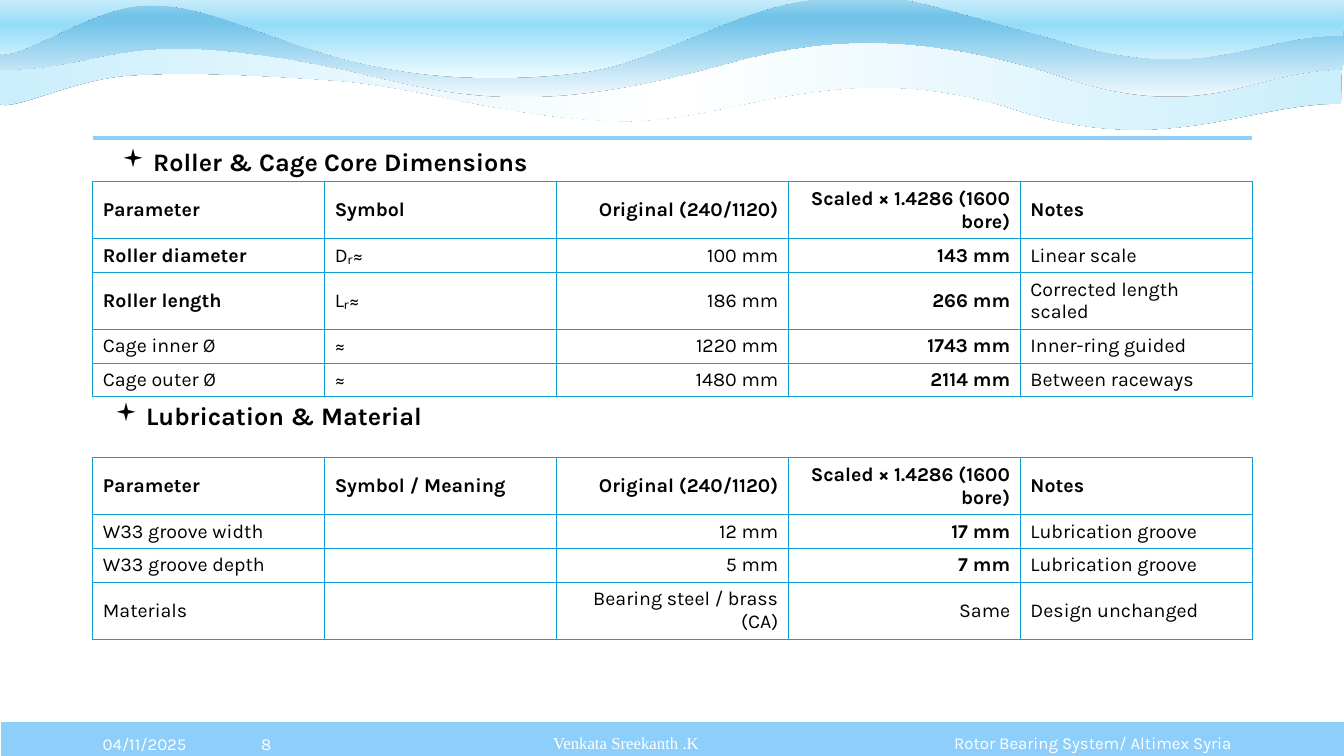
from dataclasses import dataclass

from lxml.etree import SubElement
from pptx import Presentation
from pptx.dml.color import RGBColor
from pptx.enum.shapes import MSO_CONNECTOR, MSO_SHAPE
from pptx.enum.text import MSO_ANCHOR, PP_ALIGN
from pptx.oxml.ns import qn
from pptx.util import Inches, Pt

SKY, BORDER, BLACK, WHITE = "8ECEFA", "0F9ED5", "000000", "FFFFFF"
LEFT, COLUMN_WIDTH = 0.92, 2.3
SINGLE, DOUBLE = 0.32, 0.55


@dataclass
class Wave:
    box: tuple[float, float, float, float]
    start: tuple[float, float]
    curves: list[tuple[float, ...]]
    corners: list[tuple[float, float]]
    stops: list[tuple[int, str]]
    angle: int


@dataclass
class Label:
    text: str
    left: float
    top: float
    width: float
    height: float = 0.4
    align: PP_ALIGN = PP_ALIGN.CENTER
    font: str = "Karla"
    spacing: float = 0.9


@dataclass
class Section:
    title: str
    title_left: float
    title_top: float
    table_top: float
    heights: list[float]
    rows: list[list[str]]


WAVES = [
    Wave((-0.04, 0.3, 13.36, 0.98), (13.3, 1.03),
         [(12.37, 1.02, 11.52, 1.59, 9.99, 1.06), (8.27, 0.54, 7.21, 1.24, 6.1, 1.2),
          (4.99, 1.16, 4.21, 0.87, 3.35, 0.8), (2.49, 0.74, 1.83, 0.71, 1.27, 0.75),
          (0.71, 0.79, 0.14, 1.11, -0.02, 1.03), (-0.02, 0.8, -0.04, 0.53, -0.04, 0.3)],
         [(3.13, 0.31), (6.52, 0.34), (9.41, 0.32), (13.32, 0.34)],
         [(0, "CAEEFB"), (50, WHITE), (100, "CAEEFB")], 0),
    Wave((0, -0.02, 13.33, 0.98), (13.32, 0.69),
         [(12.39, 0.69, 11.96, 1.27, 10.44, 0.73), (8.71, 0.19, 7.73, 0.49, 7.06, 0.67),
          (5.28, 1.14, 4.59, 0.97, 3.46, 0.7), (1.13, 0.21, 1.15, 0.69, 0, 0.69),
          (0, 0.46, 0.01, 0.23, 0.01, -0.01)],
         [(3.13, 0), (6.54, -0.02), (9.46, -0.01), (13.33, 0.03)],
         [(0, "F0F8FD"), (74, "74C4E9"), (83, "74C4E9"), (100, "A2D8F0")], 90),
    Wave((-0.03, -0.28, 13.36, 1.06), (13.32, 0.35),
         [(12.39, 0.35, 11.96, 0.86, 10.44, 0.38), (8.72, -0.09, 8.91, -0.07, 8.13, -0.01),
          (7.35, 0.04, 6.53, 0.62, 5.76, 0.72), (4.98, 0.82, 4.24, 0.79, 3.47, 0.6),
          (2.58, 0.36, 2.07, 0.05, 1.5, 0.05), (0.92, 0.04, 0.22, 0.61, -0.03, 0.53),
          (-0.02, 0.32, 0.01, -0.06, 0.01, -0.27)],
         [(3.13, -0.26), (6.54, -0.28), (9.46, -0.27), (13.33, -0.24)],
         [(0, "EFFCFF"), (50, "96DCF8"), (100, WHITE)], 90),
]

LABELS = [
    Label("Venkata Sreekanth .K", 3.15, 7.18, 6.12, font="Times New Roman"),
    Label("Rotor Bearing System/ Altimex Syria", 9.3, 7.24, 3.08, 0.28),
    Label("04/11/2025", LEFT, 7.18, 1.22, align=PP_ALIGN.LEFT, spacing=1.0),
    Label("8", 2.13, 7.18, 1.02, spacing=1.0),
]

SECTIONS = [
    Section("Roller & Cage Core Dimensions", 1.11, 1.4, 1.8,
            [DOUBLE, SINGLE, DOUBLE, SINGLE, SINGLE], [
                ["Parameter", "Symbol", "Original (240/1120)", "Scaled × 1.4286 (1600 bore)", "Notes"],
                ["Roller diameter", "Dᵣ≈", "100 mm", "143 mm", "Linear scale"],
                ["Roller length", "Lᵣ≈", "186 mm", "266 mm", "Corrected length scaled"],
                ["Cage inner Ø", "≈", "1220 mm", "1743 mm", "Inner-ring guided"],
                ["Cage outer Ø", "≈", "1480 mm", "2114 mm", "Between raceways"]]),
    Section("Lubrication & Material", 1.04, 3.92, 4.54,
            [DOUBLE, SINGLE, SINGLE, DOUBLE], [
                ["Parameter", "Symbol / Meaning", "Original (240/1120)", "Scaled × 1.4286 (1600 bore)", "Notes"],
                ["W33 groove width", "", "12 mm", "17 mm", "Lubrication groove"],
                ["W33 groove depth", "", "5 mm", "7 mm", "Lubrication groove"],
                ["Materials", "", "Bearing steel / brass (CA)", "Same", "Design unchanged"]]),
]


def rgb(color: str) -> RGBColor:
    return RGBColor.from_string(color)


def set_font(p, name: str, size: int, color: str, bold: bool = False) -> None:
    p.font.name = name
    p.font.size = Pt(size)
    p.font.bold = bold
    p.font.color.rgb = rgb(color)


def trace_outline(sp, wave: Wave) -> None:
    left, top, width, height = wave.box
    sp.left, sp.top, sp.width, sp.height = (Inches(v) for v in wave.box)
    outline = next(sp._element.iter(qn("a:path")))
    outline.clear()
    outline.set("w", str(Inches(width)))
    outline.set("h", str(Inches(height)))
    segments = [("a:moveTo", wave.start)]
    segments += [("a:cubicBezTo", curve) for curve in wave.curves]
    segments += [("a:lnTo", corner) for corner in wave.corners]
    segments.append(("a:cubicBezTo", wave.corners[-1] + wave.start * 2))
    for tag, values in segments:
        segment = SubElement(outline, qn(tag))
        for x, y in zip(values[::2], values[1::2]):
            SubElement(segment, qn("a:pt"), x=str(Inches(x - left)), y=str(Inches(y - top)))
    SubElement(outline, qn("a:close"))


def draw_wave(s, wave: Wave) -> None:
    builder = s.shapes.build_freeform(*(Inches(v) for v in wave.start))
    builder.add_line_segments([(Inches(x), Inches(y)) for x, y in wave.corners])
    sp = builder.convert_to_shape()
    trace_outline(sp, wave)
    sp.line.fill.background()
    sp.fill.gradient()
    sp.fill.gradient_angle = wave.angle
    stops = sp._element.spPr.find(qn("a:gradFill")).find(qn("a:gsLst"))
    stops.clear()
    for position, color in wave.stops:
        stop = SubElement(stops, qn("a:gs"), pos=str(position * 1000))
        SubElement(stop, qn("a:srgbClr"), val=color)
    sp.shadow.inherit = False
    effects = sp._element.spPr.find(qn("a:effectLst"))
    shadow = SubElement(effects, qn("a:outerShdw"), blurRad="0", dist="0", dir="0")
    SubElement(shadow, qn("a:srgbClr"), val=BLACK)


def draw_footer_bar(s) -> None:
    sp = s.shapes.add_shape(MSO_SHAPE.RECTANGLE, 0, Inches(7.15), Inches(13.35), Inches(0.4))
    sp.shadow.inherit = False
    sp.fill.solid()
    sp.fill.fore_color.rgb = rgb(SKY)
    sp.line.color.rgb = rgb(WHITE)
    sp.line.width = Pt(1.5)


def draw_rule(s) -> None:
    line = s.shapes.add_connector(MSO_CONNECTOR.STRAIGHT, Inches(LEFT), Inches(1.37),
                                  Inches(12.42), Inches(1.37))
    line.line.color.rgb = rgb(SKY)
    line.line.width = Pt(3)
    SubElement(line._element.spPr, qn("a:effectLst"))


def draw_label(s, label: Label) -> None:
    tf = s.shapes.add_textbox(Inches(label.left), Inches(label.top),
                              Inches(label.width), Inches(label.height)).text_frame
    tf.word_wrap = True
    tf.vertical_anchor = MSO_ANCHOR.MIDDLE
    p = tf.paragraphs[0]
    p.text = label.text
    p.alignment = label.align
    p.line_spacing = label.spacing
    set_font(p, label.font, 12, WHITE)


def draw_title(s, section: Section) -> None:
    tf = s.shapes.add_textbox(Inches(section.title_left), Inches(section.title_top),
                              Inches(6.71), Inches(0.4)).text_frame
    tf.word_wrap = True
    p = tf.paragraphs[0]
    p.text = section.title
    properties = p._p.get_or_add_pPr()
    properties.set("marL", str(Inches(0.31)))
    properties.set("indent", str(Inches(-0.31)))
    SubElement(properties, qn("a:buFont"), typeface="Wingdings", charset="2")
    SubElement(properties, qn("a:buChar"), char="▪")
    set_font(p, "Karla", 18, BLACK, True)


def draw_borders(cell) -> None:
    properties = cell._tc.get_or_add_tcPr()
    for side in ("a:lnL", "a:lnR", "a:lnT", "a:lnB"):
        line = SubElement(properties, qn(side), w=str(Pt(1)))
        SubElement(SubElement(line, qn("a:solidFill")), qn("a:srgbClr"), val=BORDER)


def draw_table(s, section: Section) -> None:
    columns = len(section.rows[0])
    table = s.shapes.add_table(len(section.rows), columns, Inches(LEFT), Inches(section.table_top),
                               Inches(COLUMN_WIDTH * columns), Inches(sum(section.heights))).table
    table.first_row = table.horz_banding = False
    for column in table.columns:
        column.width = Inches(COLUMN_WIDTH)
    for i, (height, texts) in enumerate(zip(section.heights, section.rows)):
        table.rows[i].height = Inches(height)
        for j, text in enumerate(texts):
            cell = table.cell(i, j)
            draw_borders(cell)
            cell.fill.background()
            cell.vertical_anchor = MSO_ANCHOR.MIDDLE
            p = cell.text_frame.paragraphs[0]
            p.text = text
            p.alignment = PP_ALIGN.RIGHT if j in (2, 3) else PP_ALIGN.LEFT
            scaled_size = j == 3 and text.endswith("mm")
            set_font(p, "Karla", 14, BLACK, i == 0 or scaled_size or text.startswith("Roller"))
            if not text:
                SubElement(p._p, qn("a:endParaRPr"), sz="1400")


def main() -> None:
    prs = Presentation()
    prs.slide_width, prs.slide_height = Inches(13.33), Inches(7.5)
    s = prs.slides.add_slide(prs.slide_layouts[6])
    draw_footer_bar(s)
    for wave in WAVES:
        draw_wave(s, wave)
    draw_rule(s)
    for label in LABELS:
        draw_label(s, label)
    for section in SECTIONS:
        draw_table(s, section)
        draw_title(s, section)
    prs.save("out.pptx")


if __name__ == "__main__":
    main()
